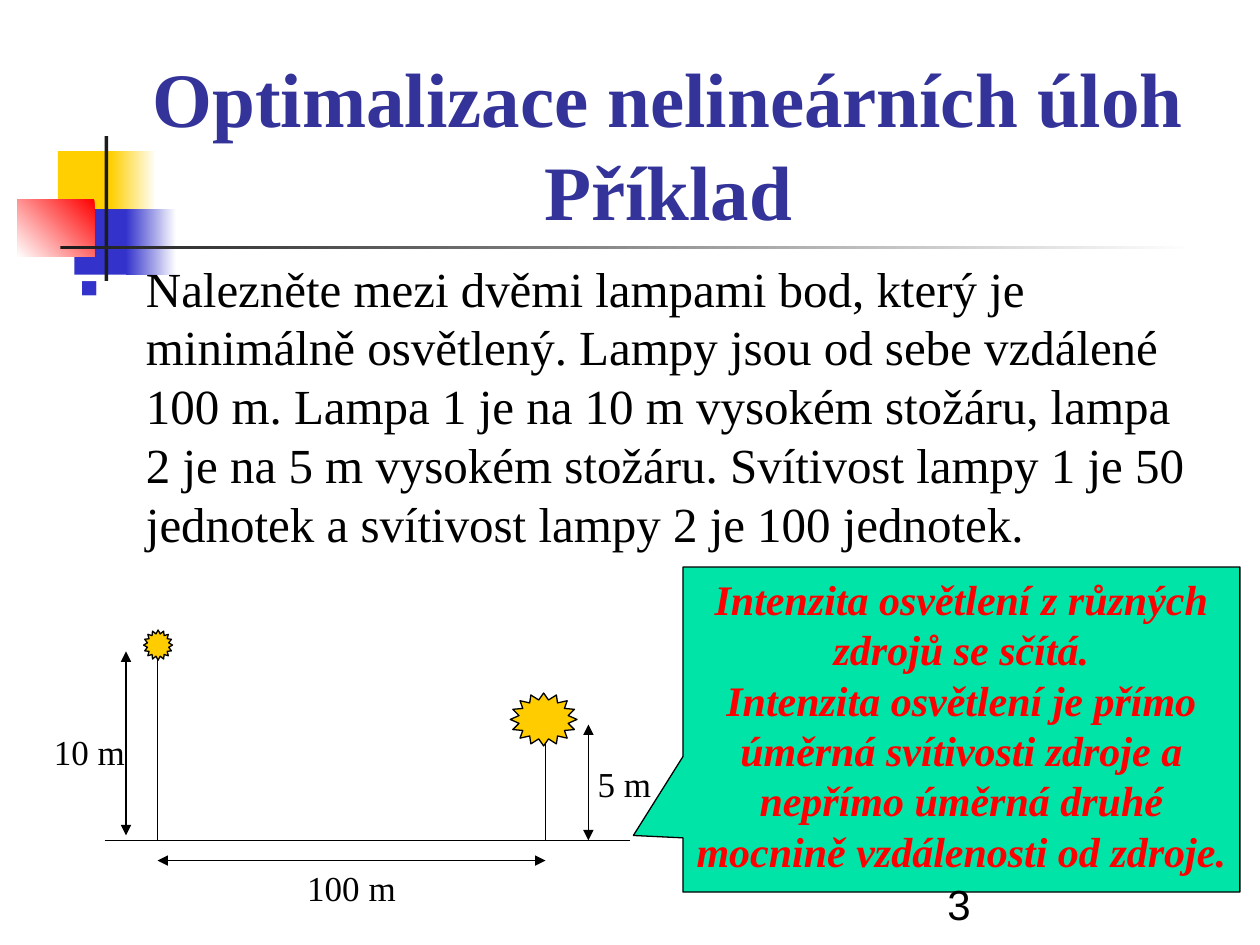
from lxml import etree
from pptx import Presentation
from pptx.dml.color import RGBColor
from pptx.enum import shapes, text
from pptx.oxml import ns
from pptx.util import Inches, Pt

COLORS = {
    "title": "333399", "ink": "000000", "white": "FFFFFF", "yellow": "FFCF01",
    "blue": "3333CC", "red": "FF0000", "dark": "1C1C1C", "lamp": "FFCC00",
    "callout": "00E4A8",
}
SERIF = "Times New Roman"
SHAPE = shapes.MSO_SHAPE
ALIGN = text.PP_ALIGN
ANCHOR = text.MSO_ANCHOR


def rgb(name):
    return RGBColor.from_string(COLORS[name])


def box(left, top, width, height):
    return [Inches(v) for v in (left, top, width, height)]


def add_run(p, words, size, color="ink", font=SERIF, bold=False, italic=False):
    r = p.add_run()
    r.text = words
    r.font.name = font
    r.font.size = Pt(size)
    r.font.color.rgb = rgb(color)
    r.font.bold = bold
    r.font.italic = italic


def set_frame(tf, anchor=ANCHOR.TOP):
    tf.word_wrap = True
    tf.auto_size = text.MSO_AUTO_SIZE.NONE
    tf.vertical_anchor = anchor
    tf.margin_left = tf.margin_right = Inches(0.1)
    tf.margin_top = tf.margin_bottom = Inches(0.05)
    return tf


def add_label(s, area, words, size=20, font=SERIF, align=ALIGN.CENTER, anchor=ANCHOR.TOP):
    p = set_frame(s.shapes.add_textbox(*box(*area)).text_frame, anchor).paragraphs[0]
    p.alignment = align
    add_run(p, words, size, font=font)


def add_preset(s, kind, area, fill, outlined=True):
    sp = s.shapes.add_shape(kind, *box(*area))
    sp.shadow.inherit = False
    sp.fill.solid()
    sp.fill.fore_color.rgb = rgb(fill)
    if outlined:
        sp.line.color.rgb = rgb("ink")
        sp.line.width = Pt(0.75)
    else:
        sp.line.fill.background()
    return sp


def add_line(s, x1, y1, x2, y2, arrows=False):
    c = s.shapes.add_connector(shapes.MSO_CONNECTOR.STRAIGHT, *box(x1, y1, x2, y2))
    c.line.color.rgb = rgb("ink")
    c.line.width = Pt(0.75)
    if arrows:
        ln = c.line._get_or_add_ln()
        for end in ("a:headEnd", "a:tailEnd"):
            etree.SubElement(ln, ns.qn(end), type="triangle")
    etree.SubElement(c._element.spPr, ns.qn("a:effectLst"))


def add_ornament(s, x, y):
    """Overlapping squares and crossing bars; a part with an angle fades to white."""
    parts = [
        (0.32, 0.12, 0.48, 0.52, "yellow", None),
        (0.74, 0.12, 0.36, 0.52, "yellow", 0),
        (0.45, 0.58, 0.46, 0.52, "blue", None),
        (0.86, 0.58, 0.4, 0.52, "blue", 0),
        (0, 0.5, 0.61, 0.46, "red", 225),
        (0.69, 0, 0.03, 1.15, "dark", None),
        (0.34, 0.87, 9, 0.03, "dark", 0),
    ]
    for dx, dy, width, height, color, angle in parts:
        area = (x + dx, y + dy, width, height)
        sp = add_preset(s, SHAPE.RECTANGLE, area, color, outlined=False)
        if angle is not None:
            sp.fill.gradient()
            sp.fill.gradient_angle = angle
            for stop, name in zip(sp.fill.gradient_stops, (color, "white")):
                stop.color.rgb = rgb(name)


def add_title(s, area, lines):
    title = s.shapes.title
    title.left, title.top, title.width, title.height = box(*area)
    s.shapes._spTree.append(title._element)
    p = set_frame(title.text_frame, ANCHOR.BOTTOM).paragraphs[0]
    p.alignment = ALIGN.CENTER
    for i, line in enumerate(lines):
        if i:
            p.add_line_break()
        add_run(p, line, 44, "title", bold=True)


def add_task(s, area, words):
    """Bulleted task statement with a hanging indent."""
    p = set_frame(s.shapes.add_textbox(*box(*area)).text_frame).paragraphs[0]
    pPr = p._p.get_or_add_pPr()
    pPr.set("marL", str(Inches(0.73)))
    pPr.set("indent", str(Inches(-0.52)))
    bullet_color = etree.SubElement(pPr, ns.qn("a:buClr"))
    etree.SubElement(bullet_color, ns.qn("a:srgbClr"), val=COLORS["blue"])
    etree.SubElement(pPr, ns.qn("a:buSzPct"), val="60000")
    etree.SubElement(pPr, ns.qn("a:buFont"), typeface="Arial")
    etree.SubElement(pPr, ns.qn("a:buChar"), char="■")
    add_run(p, words, 28)


def add_lamp_diagram(s, x, y):
    """Two lamps on masts with dimensions; x, y is the left end of the ground."""
    mast1, mast2 = x + 0.42, x + 3.5
    add_line(s, x, y, x + 4.17, y)
    add_line(s, mast1, y, mast1, y - 1.51)
    add_line(s, mast2, y, mast2, y - 0.84)
    add_preset(s, SHAPE.STAR_16_POINT, (x + 0.31, y - 1.67, 0.23, 0.24), "lamp")
    add_preset(s, SHAPE.STAR_16_POINT, (x + 3.22, y - 1.17, 0.53, 0.42), "lamp")
    add_line(s, mast1, y + 0.16, mast2, y + 0.16, arrows=True)
    add_line(s, x + 0.17, y - 1.5, x + 0.17, y - 0.04, arrows=True)
    add_line(s, x + 3.84, y - 0.92, x + 3.84, y, arrows=True)
    add_label(s, (x + 1.42, y + 0.16, 1.08, 0.44), "100 m")
    add_label(s, (x + 3.75, y - 0.67, 0.75, 0.44), "5 m")
    add_label(s, (x - 0.66, y - 0.92, 1.08, 0.44), "10 m")


def add_callout(s, area, paragraphs):
    sp = add_preset(s, SHAPE.RECTANGULAR_CALLOUT, area, "callout")
    sp.adjustments[0] = -0.589
    sp.adjustments[1] = 0.326
    tf = set_frame(sp.text_frame)
    for i, words in enumerate(paragraphs):
        p = tf.add_paragraph() if i else tf.paragraphs[0]
        p.alignment = ALIGN.CENTER
        add_run(p, words, 24, "red", bold=True, italic=True)


def main():
    prs = Presentation()
    prs.slide_width, prs.slide_height = Inches(10), Inches(7.5)
    s = prs.slides.add_slide(prs.slide_layouts[5])
    add_ornament(s, 0.14, 1.08)
    add_title(s, (0.83, 0.67, 8.95, 1.25), ["Optimalizace nelineárních úloh", "Příklad"])
    add_task(s, (0.33, 2, 9.25, 2.5),
             "Nalezněte mezi dvěmi lampami bod, který je minimálně osvětlený. "
             "Lampy jsou od sebe vzdálené 100 m. Lampa 1 je na 10 m vysokém stožáru, "
             "lampa 2 je na 5 m vysokém stožáru. Svítivost lampy 1 je 50 jednotek "
             "a svítivost lampy 2 je 100 jednotek.")
    add_lamp_diagram(s, 0.83, 6.67)
    add_callout(s, (5.42, 4.5, 4.42, 2.58), [
        "Intenzita osvětlení z různých zdrojů se sčítá.",
        "Intenzita osvětlení je přímo úměrná svítivosti zdroje a nepřímo úměrná "
        "druhé mocnině vzdálenosti od zdroje.",
    ])
    add_label(s, (7.42, 6.92, 2.08, 0.5), "3", 24, "Arial", ALIGN.LEFT, ANCHOR.BOTTOM)
    prs.save("out.pptx")


if __name__ == "__main__":
    main()
